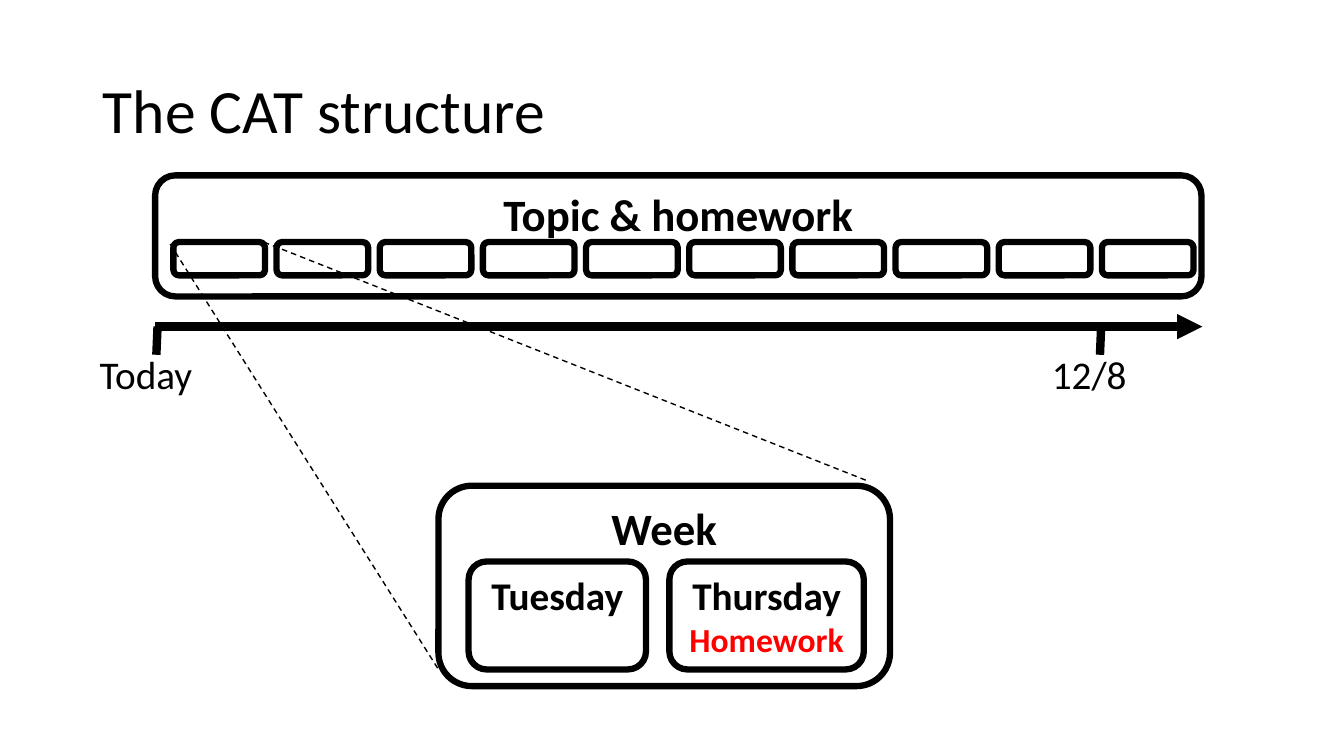
import pptx
import pptx.util
import pptx.dml.color
import pptx.enum.dml
import pptx.enum.shapes
import pptx.enum.text
import pptx.oxml
import pptx.oxml.ns
from pptx.util import Cm

COLORS = {"ink": "000000", "paper": "FFFFFF", "accent": "FF0000"}
FONT = "Calibri"
WEEKS = 10


def rgb(name):
    return pptx.dml.color.RGBColor.from_string(COLORS[name])


def write_lines(tf, lines, bold=False, align=None):
    for i, (text, size, color) in enumerate(lines):
        p = tf.paragraphs[0] if i == 0 else tf.add_paragraph()
        p.text = text
        p.alignment = align
        p.font.name = FONT
        p.font.size = pptx.util.Pt(size)
        p.font.bold = bold
        p.font.color.rgb = rgb(color)


def add_label(slide, text, size, x, y, w, h):
    tf = slide.shapes.add_textbox(Cm(x), Cm(y), Cm(w), Cm(h)).text_frame
    tf.word_wrap = True
    write_lines(tf, [(text, size, "ink")])
    return tf


def add_card(shapes, x, y, w, h, lines=()):
    sp = shapes.add_shape(pptx.enum.shapes.MSO_SHAPE.ROUNDED_RECTANGLE,
                          Cm(x), Cm(y), Cm(w), Cm(h))
    sp.shadow.inherit = False
    sp.fill.solid()
    sp.fill.fore_color.rgb = rgb("paper")
    sp.line.color.rgb = rgb("ink")
    sp.line.width = pptx.util.Pt(4.5)
    tf = sp.text_frame
    tf.vertical_anchor = pptx.enum.text.MSO_ANCHOR.TOP
    write_lines(tf, lines, True, pptx.enum.text.PP_ALIGN.CENTER)


def add_line(slide, x1, y1, x2, y2, width, dashed=False, arrow=False):
    cxn = slide.shapes.add_connector(pptx.enum.shapes.MSO_CONNECTOR.STRAIGHT,
                                     Cm(x1), Cm(y1), Cm(x2), Cm(y2))
    cxn.line.color.rgb = rgb("ink")
    cxn.line.width = pptx.util.Pt(width)
    if dashed:
        cxn.line.dash_style = pptx.enum.dml.MSO_LINE.DASH
    if arrow:
        tail = pptx.oxml.parse_xml(
            f'<a:tailEnd {pptx.oxml.ns.nsdecls("a")} type="triangle"/>')
        cxn.line._get_or_add_ln().append(tail)
    cxn._element.spPr.append(pptx.oxml.parse_xml(
        f'<a:effectLst {pptx.oxml.ns.nsdecls("a")}/>'))


def draw_title(slide, x, y, w, h):
    tf = add_label(slide, "The CAT structure", 44, x, y, w, h)
    tf.vertical_anchor = pptx.enum.text.MSO_ANCHOR.MIDDLE
    tf.paragraphs[0].line_spacing = 0.9


def draw_topic(slide, x, y, w, h):
    add_card(slide.shapes, x, y, w, h, [("Topic & homework", 32, "ink")])
    pitch = 2.6
    for week in range(WEEKS):
        add_card(slide.shapes, x + 0.46 + week * pitch, y + 1.68, 2.31, 0.84)


def draw_timeline(slide, x, y, w, h):
    add_line(slide, x, y, x + w, y, 6, arrow=True)
    marks = [("Today", 0.06, -1.65), ("12/8", 23.84, 22.35)]
    for text, tick, left in marks:
        add_line(slide, x + tick, y, x + tick - 0.03, y + h, 6)
        add_label(slide, text, 28, x + left, y + 0.48, 3, 1.45)


def draw_week(slide, x, y, w, h):
    group = slide.shapes.add_group_shape()
    add_card(group.shapes, x, y, w, h, [("Week", 32, "ink")])
    days = [
        (0.76, 4.47, [("Tuesday", 28, "ink")]),
        (5.82, 4.9, [("Thursday", 28, "ink"), ("Homework", 24, "accent")]),
    ]
    for left, width, lines in days:
        add_card(group.shapes, x + left, y + 1.91, width, 2.72, lines)


def draw_zoom(slide, x, y, w, h):
    add_line(slide, x, y, x + 6.76, y + h, 1, dashed=True)
    add_line(slide, x + 2.36, y - 0.05, x + w, y + 5.97, 1, dashed=True)


def main():
    prs = pptx.Presentation()
    prs.slide_width = Cm(33.87)
    prs.slide_height = Cm(19.05)
    slide = prs.slides.add_slide(prs.slide_layouts[6])
    draw_title(slide, 2.34, 1.02, 29.21, 3.68)
    draw_topic(slide, 3.91, 4.42, 26.37, 3.05)
    draw_timeline(slide, 3.91, 8.23, 26.39, 0.71)
    draw_week(slide, 11.05, 12.24, 11.38, 5.05)
    draw_zoom(slide, 4.29, 6.15, 17.58, 10.72)
    prs.save("out.pptx")


if __name__ == "__main__":
    main()
